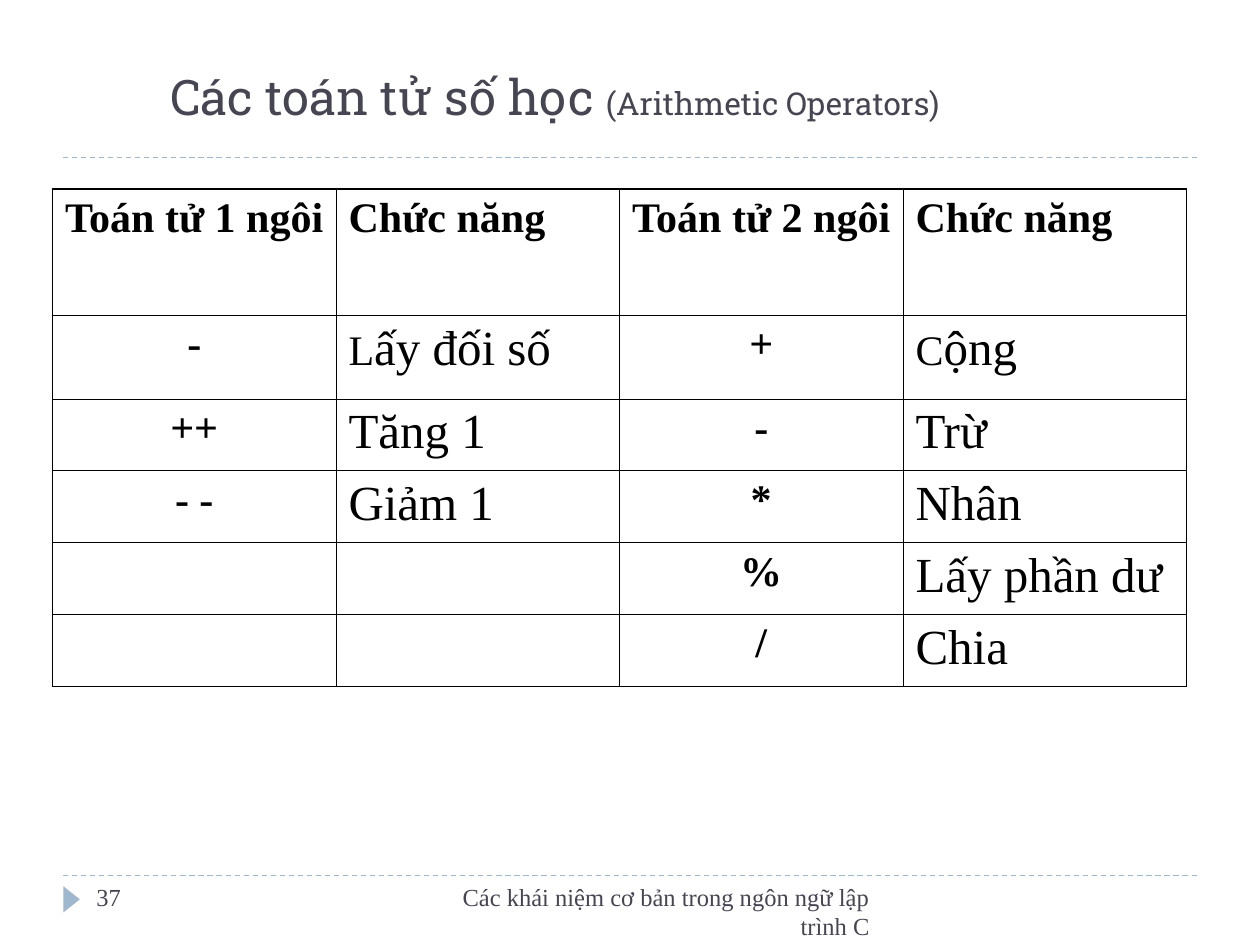
from pptx import Presentation
from pptx.dml.color import RGBColor
from pptx.enum.dml import MSO_LINE_DASH_STYLE as Dash
from pptx.enum.shapes import MSO_CONNECTOR as Connector, MSO_SHAPE as Shape
from pptx.enum.text import MSO_ANCHOR as Anchor, MSO_AUTO_SIZE as AutoSize, PP_ALIGN as Align
from pptx.oxml.ns import qn
from pptx.util import Pt
from lxml.etree import SubElement

SERIF = "Times New Roman"
SLAB = "Roboto Slab"
INK = "464653"
ACCENT = "9FB8CD"
BLACK = "000000"

HEADERS = ["Toán tử 1 ngôi", "Chức năng", "Toán tử 2 ngôi", "Chức năng"]
OPERATORS = [
    ["-", "Lấy đối số", "+", "Cộng"],
    ["++", "Tăng 1", "-", "Trừ"],
    ["- -", "Giảm 1", "*", "Nhân"],
    ["", "", "%", "Lấy phần dư"],
    ["", "", "/", "Chia"],
]
ROW_HEIGHTS = [72, 48, 41, 41, 41, 41]
COLUMN_WIDTH = 162


def color(value):
    return RGBColor.from_string(value)


def set_font(font, name, size, ink, bold=False):
    font.name = name
    font.size = Pt(size)
    font.bold = bold
    font.color.rgb = color(ink)


def add_title(page):
    title = page.shapes.title
    title.left, title.top, title.width, title.height = Pt(90), Pt(30), Pt(528), Pt(45)
    frame = title.text_frame
    frame.auto_size = AutoSize.NONE
    frame.vertical_anchor = Anchor.BOTTOM
    para = frame.paragraphs[0]
    para.alignment = Align.LEFT
    for text, size in [("Các toán tử số học ", 28), ("(Arithmetic Operators)", 18)]:
        span = para.add_run()
        span.text = text
        set_font(span.font, SLAB, size, INK)


def add_rule(page, top):
    rule = page.shapes.add_connector(Connector.STRAIGHT, Pt(36), Pt(top), Pt(684), Pt(top))
    rule.line.color.rgb = color(ACCENT)
    rule.line.width = Pt(0.75)
    rule.line.dash_style = Dash.DASH
    SubElement(rule._element.spPr, qn("a:effectLst"))


def add_marker(page):
    marker = page.shapes.add_shape(Shape.ISOSCELES_TRIANGLE, Pt(33.4), Pt(509.2), Pt(15), Pt(9.4))
    marker.rotation = 90
    marker.shadow.inherit = False
    marker.fill.solid()
    marker.fill.fore_color.rgb = color(ACCENT)
    marker.line.fill.background()


def add_footer(page, text, left, width, alignment):
    box = page.shapes.add_textbox(Pt(left), Pt(500.4), Pt(width), Pt(28.8))
    box.text_frame.word_wrap = True
    para = box.text_frame.paragraphs[0]
    para.text = text
    para.alignment = alignment
    set_font(para.font, SERIF, 14, INK)


def add_border(cell, side, width):
    line = SubElement(cell._tc.get_or_add_tcPr(), qn(f"a:ln{side}"), w=str(Pt(width)))
    fill = SubElement(line, qn("a:solidFill"))
    SubElement(fill, qn("a:srgbClr"), val=BLACK)


def fill_cell(cell, text, row, column):
    outer = {"L": column == 0, "R": column == len(HEADERS) - 1, "T": row == 0, "B": False}
    for side, heavy in outer.items():
        add_border(cell, side, 1.08 if heavy else 0.45)
    cell.fill.background()
    if not text:
        return
    para = cell.text_frame.paragraphs[0]
    is_meaning = row > 0 and column % 2 == 1
    if row > 0 and not is_meaning:
        para.alignment = Align.CENTER
    if row == 1 and is_meaning:
        set_font(para.font, SERIF, 28, BLACK)
        for part, size in [(text[0], 24), (text[1:], 28)]:
            span = para.add_run()
            span.text = part
            set_font(span.font, SERIF, size, BLACK)
    else:
        para.text = text
        set_font(para.font, SERIF, 28 if is_meaning else 24, BLACK, not is_meaning)


def add_operator_table(page):
    rows = [HEADERS] + OPERATORS
    frame = page.shapes.add_table(len(rows), len(HEADERS), Pt(30), Pt(108),
                                  Pt(COLUMN_WIDTH * len(HEADERS)), Pt(sum(ROW_HEIGHTS)))
    table = frame.table
    table.first_row = False
    table.horz_banding = False
    for column in table.columns:
        column.width = Pt(COLUMN_WIDTH)
    for row, texts in enumerate(rows):
        table.rows[row].height = Pt(ROW_HEIGHTS[row])
        for column, text in enumerate(texts):
            fill_cell(table.cell(row, column), text, row, column)


def main():
    deck = Presentation()
    deck.slide_width, deck.slide_height = Pt(720), Pt(540)
    page = deck.slides.add_slide(deck.slide_layouts[5])
    for top in (500.4, 90):
        add_rule(page, top)
    add_marker(page)
    add_title(page)
    add_operator_table(page)
    add_footer(page, "Các khái niệm cơ bản trong ngôn ngữ lập trình C", 228, 276, Align.RIGHT)
    add_footer(page, "37", 48, 156, Align.LEFT)
    deck.save("out.pptx")


if __name__ == "__main__":
    main()
